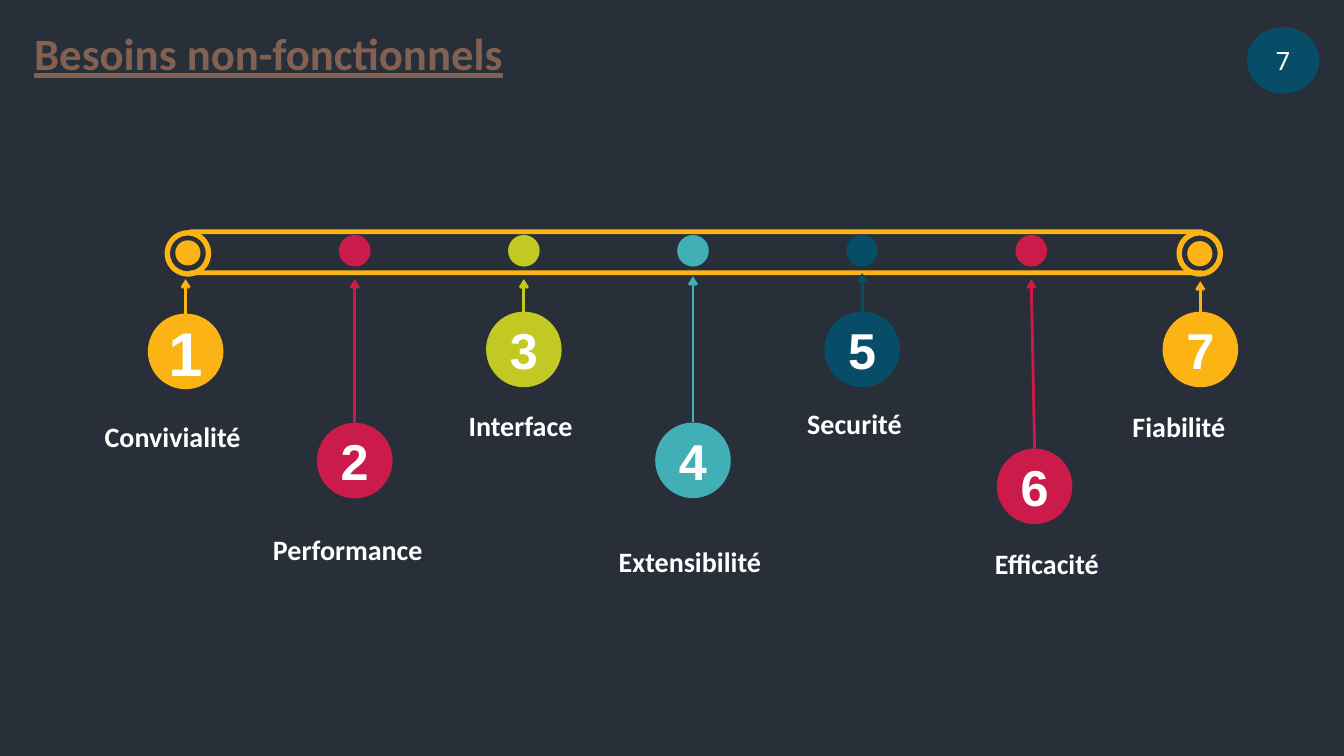
"""Build the slide of seven non-functional needs hanging from a conveyor belt."""
from lxml.etree import SubElement
from pptx import Presentation
from pptx.dml.color import RGBColor
from pptx.enum.shapes import MSO_CONNECTOR, MSO_SHAPE
from pptx.enum.text import MSO_ANCHOR, MSO_AUTO_SIZE, PP_ALIGN
from pptx.oxml.ns import qn
from pptx.util import Pt

YELLOW, RED, LIME, TEAL, BLUE = "FCB414", "CB1B4A", "C2C923", "42AFB6", "074D67"
WHITE = "FFFFFF"
LEFT, CENTER = PP_ALIGN.LEFT, PP_ALIGN.CENTER

presentation = Presentation()
presentation.slide_width, presentation.slide_height = Pt(960), Pt(540)
slide = presentation.slides.add_slide(presentation.slide_layouts[6])
slide.background.fill.solid()
slide.background.fill.fore_color.rgb = RGBColor.from_string("282F39")


def add_filled(kind, left, top, width, height, color):
    shape = slide.shapes.add_shape(kind, Pt(left), Pt(top), Pt(width), Pt(height))
    shape.shadow.inherit = False
    shape.fill.solid()
    shape.fill.fore_color.rgb = RGBColor.from_string(color)
    shape.line.fill.background()
    return shape


def write(shape, text, size, font, color=WHITE, bold=True, align=CENTER):
    shape.text_frame.word_wrap = True
    paragraph = shape.text_frame.paragraphs[0]
    paragraph.alignment = align
    run = paragraph.add_run()
    run.text = text
    run.font.size, run.font.name, run.font.bold = Pt(size), font, bold
    run.font.color.rgb = RGBColor.from_string(color)
    return run


for wheel_left, hub_top in ((117.6, 171.6), (840.4, 172.2)):
    wheel = add_filled(MSO_SHAPE.DONUT, wheel_left, 164.4, 33.2, 33.2, YELLOW)
    wheel.adjustments[0] = 0.114
    add_filled(MSO_SHAPE.OVAL, wheel_left + 7.6, hub_top, 18, 18, YELLOW)
for belt_top in (163.9, 193.1):
    add_filled(MSO_SHAPE.RECTANGLE, 135.4, belt_top, 723.6, 3.4, YELLOW)

FIRST_CENTER, PITCH, CIRCLE, DOT = 132.6, 120.8, 54, 22.6
needs = [
    ("Convivialité", YELLOW, 44, 0, 224, 199.4, 67.7, 296, 158, LEFT),
    ("Performance", RED, 36, 0, 302, 199.4, 187.9, 376.6, 184, LEFT),
    ("Interface", LIME, 36, 0, 222.6, 199.4, 327.6, 288.2, 167, LEFT),
    ("Extensibilité", TEAL, 36, 0, 301.8, 197.3, 434.9, 385.4, 174, LEFT),
    ("Securité", BLUE, 36, 0, 222.6, 195.1, 569.5, 286.8, 122, LEFT),
    ("Efficacité", RED, 36, 2.4, 320.4, 199.4, 670.3, 386.6, 155, CENTER),
    ("Fiabilité", YELLOW, 36, 0, 222.6, 200.9, 766.1, 289.2, 152, CENTER),
]
for index, need in enumerate(needs):
    name, color, size, shift, top, tip, label_left, label_top, label_width, align = need
    center = FIRST_CENTER + PITCH * index
    if 0 < index < len(needs) - 1:
        add_filled(MSO_SHAPE.OVAL, center - DOT / 2, 167.8, DOT, DOT, color)

    circle = add_filled(MSO_SHAPE.OVAL, center + shift - CIRCLE / 2, top, CIRCLE, CIRCLE, color)
    frame = circle.text_frame
    frame.margin_left = frame.margin_right = frame.margin_top = frame.margin_bottom = 0
    frame.vertical_anchor = MSO_ANCHOR.MIDDLE
    write(circle, str(index + 1), size, "Arial")

    label = slide.shapes.add_textbox(Pt(label_left), Pt(label_top), Pt(label_width), Pt(31.5))
    label.text_frame.auto_size = MSO_AUTO_SIZE.SHAPE_TO_FIT_TEXT
    write(label, name, 20, "Calibri", align=align)

    arrow = slide.shapes.add_connector(
        MSO_CONNECTOR.STRAIGHT, Pt(center + shift), Pt(top), Pt(center), Pt(tip))
    arrow.begin_connect(circle, 0)
    arrow.line.color.rgb = RGBColor.from_string(color)
    arrow.line.width = Pt(2)
    SubElement(arrow.line._get_or_add_ln(), qn("a:tailEnd"), type="arrow")
    SubElement(arrow._element.spPr, qn("a:effectLst"))

title = slide.shapes.add_textbox(Pt(17.3), Pt(15.1), Pt(389.5), Pt(46))
title.text_frame.auto_size = MSO_AUTO_SIZE.SHAPE_TO_FIT_TEXT
write(title, "Besoins non-fonctionnels", 32, "Calibri", "826152", align=LEFT).font.underline = True

badge = add_filled(MSO_SHAPE.OVAL, 890.6, 19.4, 51.8, 47.5, BLUE)
badge.text_frame.vertical_anchor = MSO_ANCHOR.MIDDLE
write(badge, "7", 18, "Noto Sans", bold=False)

presentation.save("out.pptx")
